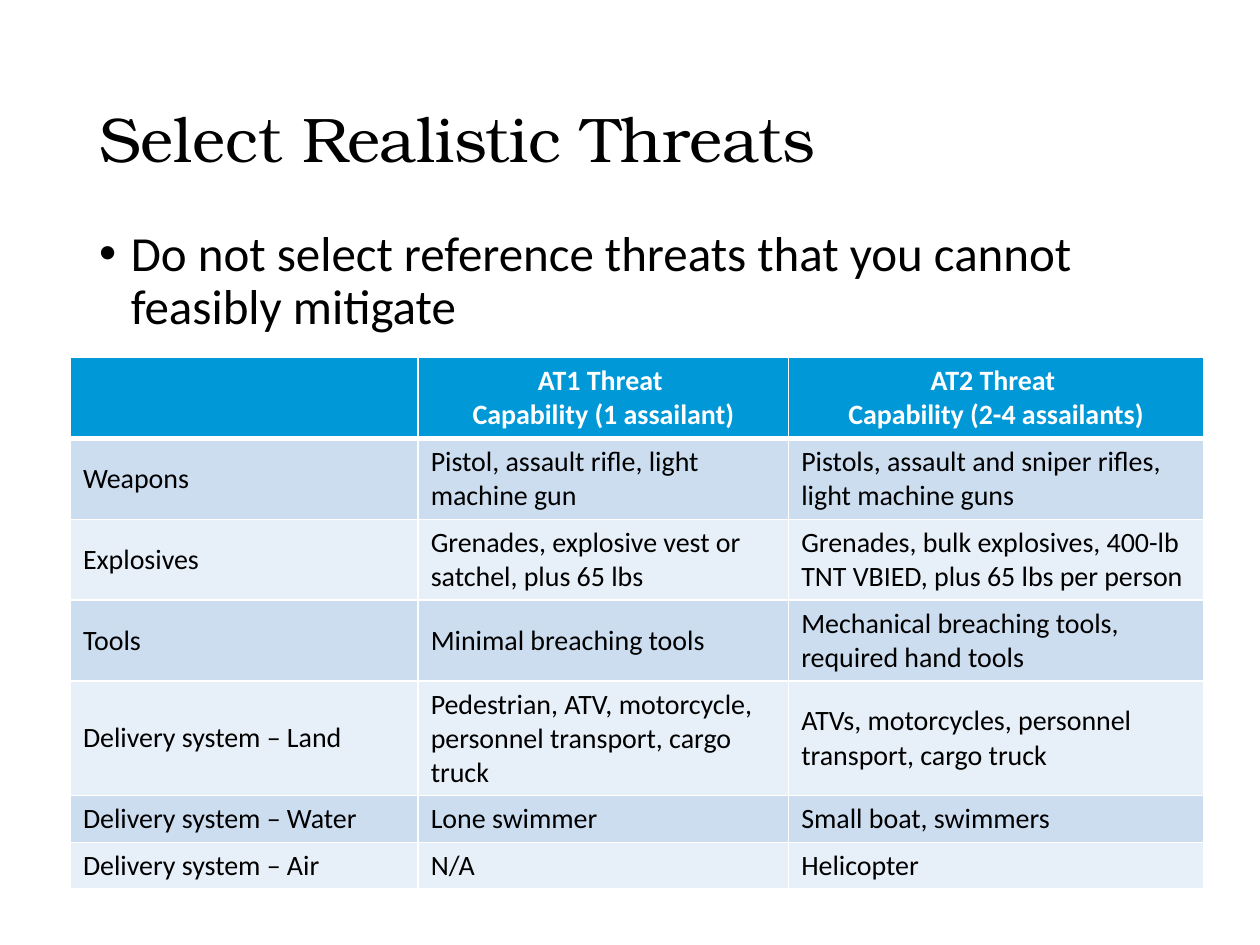
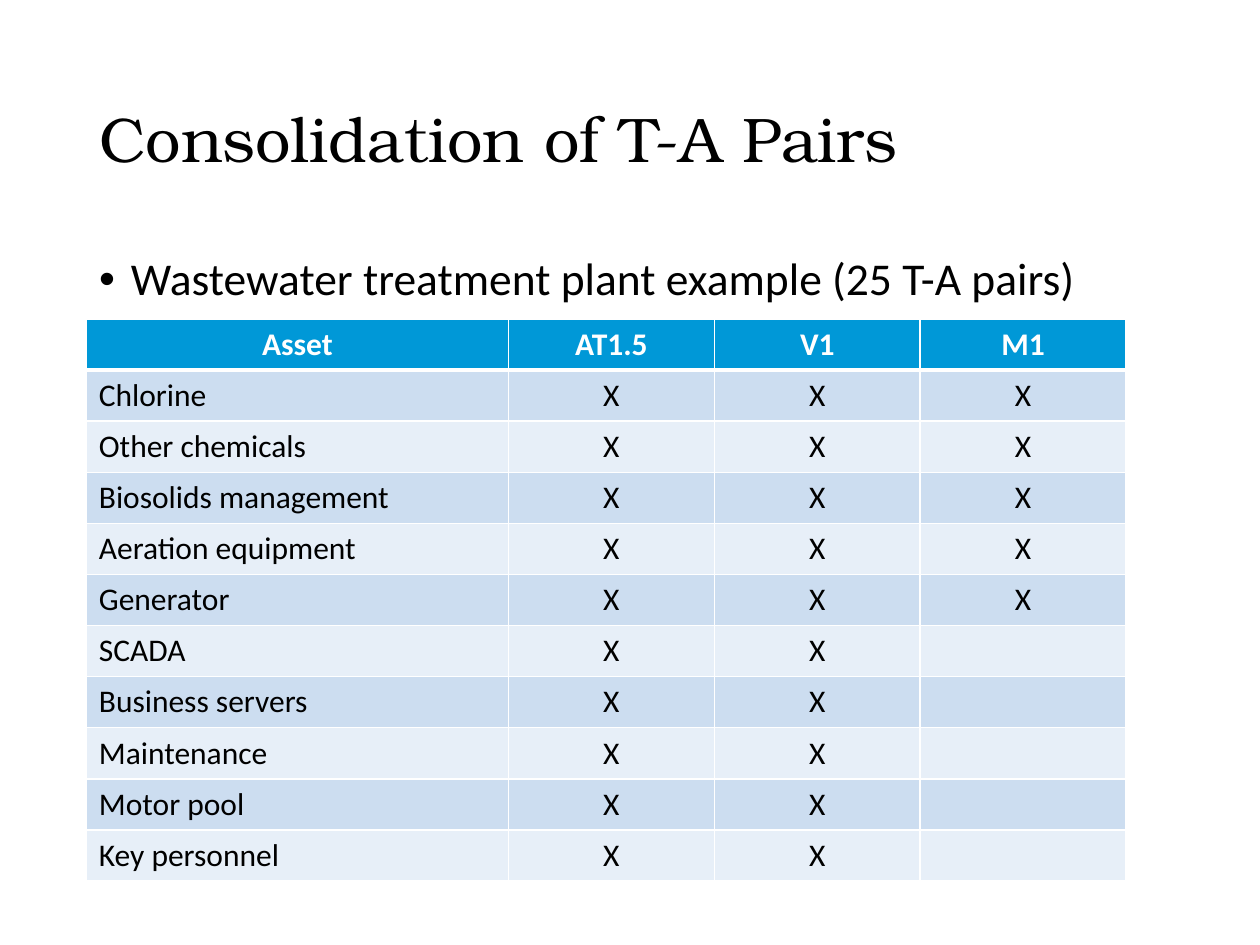
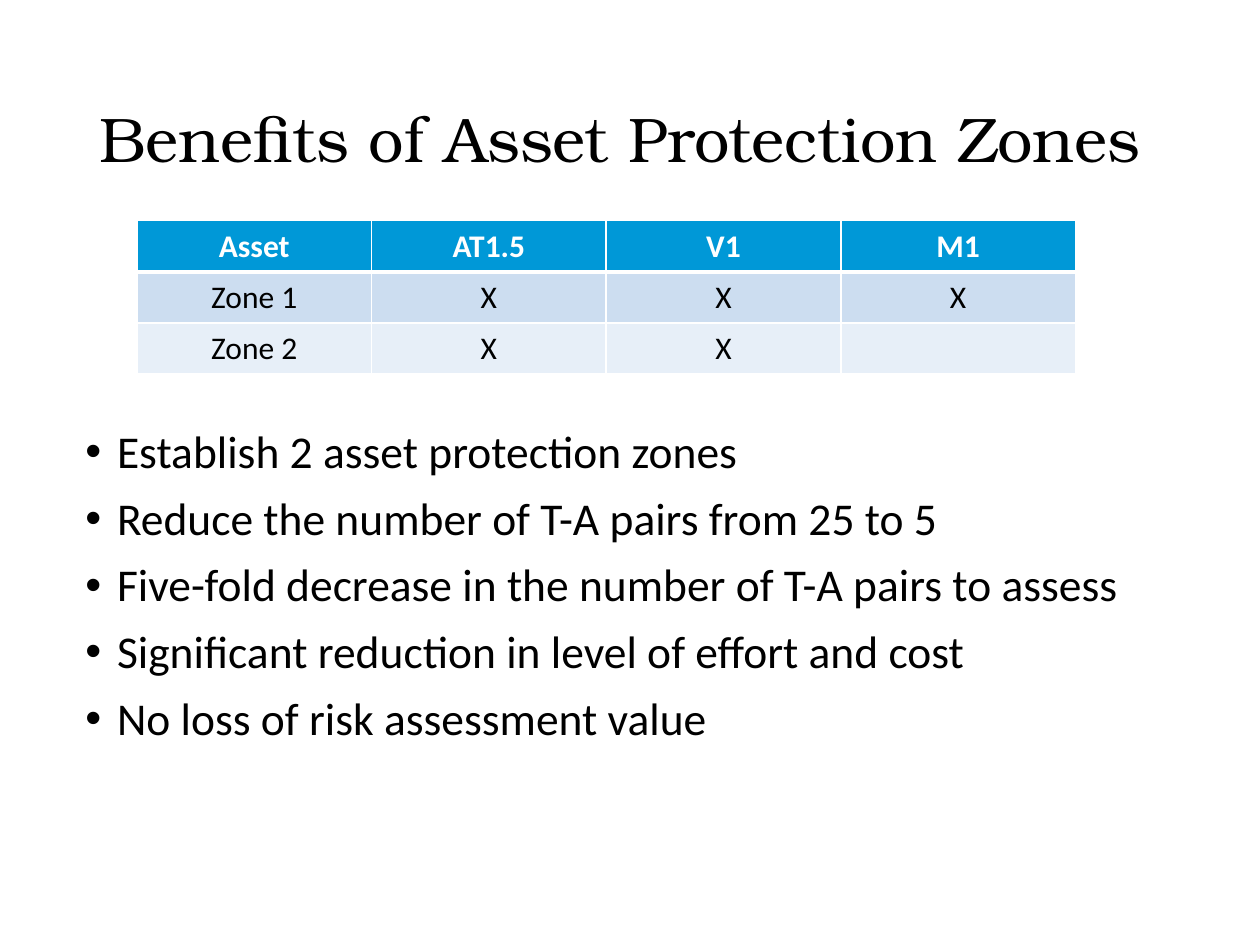
"""Build three slides on threat selection and asset protection zones."""
from dataclasses import dataclass

from lxml import etree
from pptx import Presentation
from pptx.dml.color import RGBColor
from pptx.enum.text import MSO_ANCHOR, MSO_AUTO_SIZE, PP_ALIGN
from pptx.oxml.ns import qn
from pptx.util import Cm, Pt

LEFT, CENTER = PP_ALIGN.LEFT, PP_ALIGN.CENTER
MIDDLE = MSO_ANCHOR.MIDDLE
NO_AUTOFIT = MSO_AUTO_SIZE.NONE
TITLE_ONLY = 5


@dataclass(frozen=True)
class Theme:
    title_font: str = "TeX Gyre Bonum"
    body_font: str = "Calibri"
    title_size: int = 36
    text: str = "000000"
    header_text: str = "FFFFFF"
    header_fill: str = "0098D7"
    band_fills: tuple = ("CCDDF0", "E7EFF8")
    border: str = "FFFFFF"
    border_width: int = 1
    header_rule_width: int = 3
    line_spacing: float = 0.9
    bullet_space: int = 10
    bullet_indent: float = 0.64


THEME = Theme()
SLIDE_SIZE = (25.4, 19.05)
TITLE_BOX = (1.75, 1.02, 21.9, 3.68)
ONE_LINE, TWO_LINES, THREE_LINES = 0.94, 1.63, 2.31
ASSET_ROW = 1.03
ASSET_HEADER = ("Asset", "AT1.5", "V1", "M1")
ALL_THREATS = ("X", "X", "X")
NO_M1 = ("X", "X", "")

SLIDES = [
    {
        "title": "Select Realistic Threats",
        "bullets": ["Do not select reference threats that you cannot feasibly mitigate"],
        "bullet_box": (1.75, 4.5, 21.95, 12.29),
        "bullet_size": 28,
        "table_at": (1.42, 7.21),
        "table_size": 16,
        "columns": (7.01, 7.47, 8.36),
        "heights": [TWO_LINES] * 4 + [THREE_LINES] + [ONE_LINE] * 2,
        "alignments": (LEFT, LEFT, LEFT),
        "rows": [
            ("", "AT1 Threat \vCapability (1 assailant)",
             "AT2 Threat \vCapability (2-4 assailants)"),
            ("Weapons", "Pistol, assault rifle, light machine gun",
             "Pistols, assault and sniper rifles, light machine guns"),
            ("Explosives", "Grenades, explosive vest or satchel, plus 65 lbs",
             "Grenades, bulk explosives, 400-lb TNT VBIED, plus 65 lbs per person"),
            ("Tools", "Minimal breaching tools",
             "Mechanical breaching tools, required hand tools"),
            ("Delivery system – Land",
             "Pedestrian, ATV, motorcycle, personnel transport, cargo truck",
             "ATVs, motorcycles, personnel transport, cargo truck"),
            ("Delivery system – Water", "Lone swimmer", "Small boat, swimmers"),
            ("Delivery system – Air", "N/A", "Helicopter"),
        ],
    },
    {
        "title": "Consolidation of T-A Pairs",
        "bullets": ["Wastewater treatment plant example (25 T-A pairs)"],
        "bullet_box": (1.75, 5.05, 21.95, 12.29),
        "bullet_size": 26,
        "table_at": (1.74, 6.43),
        "table_size": 18,
        "columns": (8.51, 4.15, 4.15, 4.15),
        "heights": [ASSET_ROW] * 11,
        "alignments": (LEFT, CENTER, CENTER, CENTER),
        "rows": [
            ASSET_HEADER,
            ("Chlorine", *ALL_THREATS),
            ("Other chemicals", *ALL_THREATS),
            ("Biosolids management", *ALL_THREATS),
            ("Aeration equipment", *ALL_THREATS),
            ("Generator", *ALL_THREATS),
            ("SCADA", *NO_M1),
            ("Business servers", *NO_M1),
            ("Maintenance", *NO_M1),
            ("Motor pool", *NO_M1),
            ("Key personnel", *NO_M1),
        ],
    },
    {
        "title": "Benefits of Asset Protection Zones",
        "bullets": [
            "Establish 2 asset protection zones",
            "Reduce the number of T-A pairs from 25 to 5",
            "Five-fold decrease in the number of T-A pairs to assess",
            "Significant reduction in level of effort and cost",
            "No loss of risk assessment value",
        ],
        "bullet_box": (1.47, 8.53, 21.95, 8.43),
        "bullet_size": 26,
        "table_at": (2.76, 4.45),
        "table_size": 18,
        "columns": (4.73,) * 4,
        "heights": [ASSET_ROW] * 3,
        "alignments": (CENTER,) * 4,
        "rows": [ASSET_HEADER, ("Zone 1", *ALL_THREATS), ("Zone 2", *NO_M1)],
    },
]


def style_font(paragraph, name, size, color, bold=False):
    font = paragraph.font
    font.name, font.size, font.bold = name, Pt(size), bold
    font.color.rgb = RGBColor.from_string(color)


def set_title(slide, text):
    title = slide.shapes.title
    title.left, title.top, title.width, title.height = map(Cm, TITLE_BOX)
    frame = title.text_frame
    frame.text = text
    frame.auto_size = NO_AUTOFIT
    frame.vertical_anchor = MIDDLE
    paragraph = frame.paragraphs[0]
    paragraph.alignment = LEFT
    paragraph.line_spacing = THEME.line_spacing
    style_font(paragraph, THEME.title_font, THEME.title_size, THEME.text)


def add_bullets(slide, bullets, box, size):
    frame = slide.shapes.add_textbox(*map(Cm, box)).text_frame
    frame.word_wrap = True
    frame.text = "\n".join(bullets)
    for paragraph in frame.paragraphs:
        paragraph.line_spacing = THEME.line_spacing
        paragraph.space_before = Pt(THEME.bullet_space)
        style_font(paragraph, THEME.body_font, size, THEME.text)
        properties = paragraph._p.get_or_add_pPr()
        indent = Cm(THEME.bullet_indent)
        properties.set("marL", str(indent))
        properties.set("indent", str(-indent))
        font = etree.Element(qn("a:buFont"), typeface="Arial")
        character = etree.Element(qn("a:buChar"), char="•")
        defaults = properties.find(qn("a:defRPr"))
        defaults.addprevious(font)
        defaults.addprevious(character)


def set_borders(cell, row_index):
    widths = dict.fromkeys(("lnL", "lnR", "lnT", "lnB"), THEME.border_width)
    if row_index < 2:
        widths["lnT" if row_index else "lnB"] = THEME.header_rule_width
    properties = cell._tc.get_or_add_tcPr()
    for edge, width in widths.items():
        line = etree.SubElement(properties, qn(f"a:{edge}"), w=str(Pt(width)))
        fill = etree.SubElement(line, qn("a:solidFill"))
        etree.SubElement(fill, qn("a:srgbClr"), val=THEME.border)


def fill_cell(cell, text, row_index, size, alignment):
    header = row_index == 0
    cell.text = text
    cell.vertical_anchor = MIDDLE
    paragraph = cell.text_frame.paragraphs[0]
    paragraph.alignment = CENTER if header else alignment
    color = THEME.header_text if header else THEME.text
    style_font(paragraph, THEME.body_font, size, color, header)
    set_borders(cell, row_index)
    cell.fill.solid()
    band = THEME.band_fills[(row_index - 1) % 2]
    cell.fill.fore_color.rgb = RGBColor.from_string(THEME.header_fill if header else band)


def add_grid(slide, content):
    rows, columns, heights = content["rows"], content["columns"], content["heights"]
    extent = (*content["table_at"], sum(columns), sum(heights))
    table = slide.shapes.add_table(len(rows), len(columns), *map(Cm, extent)).table
    for column, width in zip(table.columns, columns):
        column.width = Cm(width)
    for row_index, texts in enumerate(rows):
        row = table.rows[row_index]
        row.height = Cm(heights[row_index])
        for cell, text, alignment in zip(row.cells, texts, content["alignments"]):
            fill_cell(cell, text, row_index, content["table_size"], alignment)


def main():
    presentation = Presentation()
    presentation.slide_width, presentation.slide_height = map(Cm, SLIDE_SIZE)
    for content in SLIDES:
        slide = presentation.slides.add_slide(presentation.slide_layouts[TITLE_ONLY])
        set_title(slide, content["title"])
        add_bullets(slide, content["bullets"], content["bullet_box"], content["bullet_size"])
        add_grid(slide, content)
    presentation.save("out.pptx")


if __name__ == "__main__":
    main()
